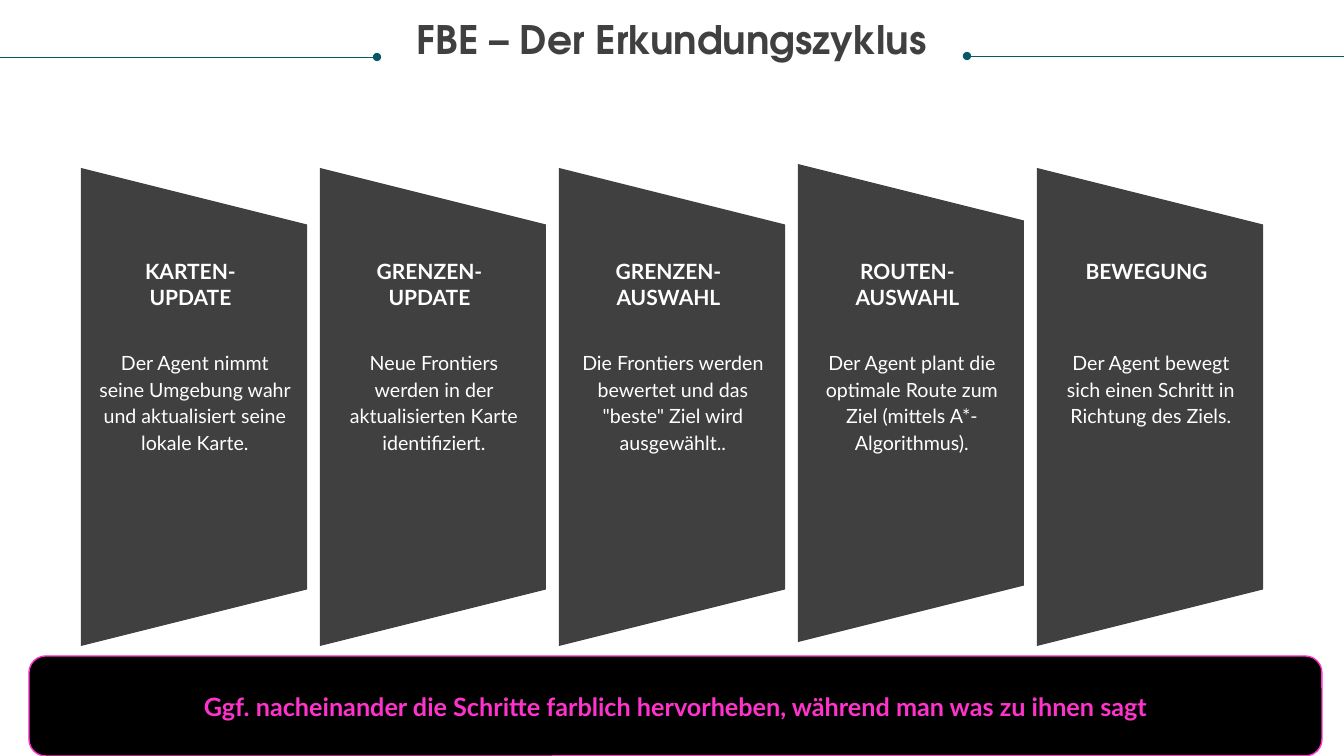
from dataclasses import dataclass

from lxml import etree
from pptx import Presentation
from pptx.dml.color import RGBColor
from pptx.enum import shapes, text
from pptx.oxml import ns
from pptx import util as u

PX = 12192000 / 1344


@dataclass(frozen=True)
class Theme:
    heading_font: str = "TeX Gyre Adventor"
    body_font: str = "Lato"
    title: str = "404040"
    rule: str = "085764"
    panel: str = "000001"
    panel_alpha: int = 75
    on_panel: str = "FFFFFF"
    note_fill: str = "000000"
    note: str = "FF33CC"
    title_size: int = 28
    step_size: int = 15
    body_size: int = 14
    note_size: int = 18


THEME = Theme()
STEP_PITCH = 239
RAISED_STEP, RAISE = 3, 4
STEPS = [
    ("KARTEN-UPDATE", "Der Agent nimmt seine Umgebung wahr und aktualisiert seine lokale Karte."),
    ("GRENZEN-UPDATE", "Neue Frontiers werden in der aktualisierten Karte identifiziert."),
    ("GRENZEN-AUSWAHL", "Die Frontiers werden bewertet und das \"beste\" Ziel wird ausgewählt.."),
    ("ROUTEN-AUSWAHL", "Der Agent plant die optimale Route zum Ziel (mittels A*-Algorithmus)."),
    ("BEWEGUNG", "Der Agent bewegt sich einen Schritt in Richtung des Ziels."),
]


def px(*lengths):
    return [u.Emu(round(n * PX)) for n in lengths]


def set_all(target, values):
    for name, value in values.items():
        setattr(target, name, value)


def write(tf, words, size, color, font=THEME.body_font, bold=False, spacing=None):
    """Fill a text frame with one centred paragraph."""
    p = tf.paragraphs[0]
    set_all(p, {"alignment": text.PP_ALIGN.CENTER, "line_spacing": spacing})
    r = p.add_run()
    r.text = words
    set_all(r.font, {"size": u.Pt(size), "name": font, "bold": bold})
    r.font.color.rgb = RGBColor.from_string(color)


def add_text(slide, box, words, size, color, **style):
    tf = slide.shapes.add_textbox(*px(*box)).text_frame
    set_all(tf, {"word_wrap": True, "margin_left": 0, "margin_right": 0,
                 "margin_top": 0, "margin_bottom": 0})
    write(tf, words, size, color, **style)


def add_solid(slide, kind, box, fill):
    sp = slide.shapes.add_shape(kind, *px(*box))
    sp.shadow.inherit = False
    sp.fill.solid()
    sp.fill.fore_color.rgb = RGBColor.from_string(fill)
    sp.line.fill.background()
    return sp


def add_rule(slide, ends, dot):
    """Draw a thin line with a round dot at its headEnd or tailEnd."""
    line = slide.shapes.add_connector(shapes.MSO_CONNECTOR.STRAIGHT, *px(*ends))
    line.line.width = u.Pt(0.5)
    line.line.color.rgb = RGBColor.from_string(THEME.rule)
    spPr = line.element.spPr
    etree.SubElement(spPr.find(ns.qn("a:ln")), ns.qn(f"a:{dot}"), type="oval")
    etree.SubElement(spPr, ns.qn("a:effectLst"))


def add_panel(slide, index):
    top = 294 - (RAISE if index == RAISED_STEP else 0)
    sp = add_solid(slide, shapes.MSO_SHAPE.TRAPEZOID,
                   (-45 + index * STEP_PITCH, top, 478, 226), THEME.panel)
    sp.rotation = 90
    color = sp.element.spPr.find(ns.qn("a:solidFill")).find(ns.qn("a:srgbClr"))
    etree.SubElement(color, ns.qn("a:alpha"), val=str(THEME.panel_alpha * 1000))


def add_step(slide, index, heading, body):
    shift = index * STEP_PITCH
    add_panel(slide, index)
    add_text(slide, (115 + shift, 259, 151, 50), heading,
             THEME.step_size, THEME.on_panel, bold=True)
    add_text(slide, (98 + shift, 348, 194, 105), body,
             THEME.body_size, THEME.on_panel, spacing=u.Pt(19))


def add_note(slide, words):
    sp = add_solid(slide, shapes.MSO_SHAPE.ROUNDED_RECTANGLE,
                   (29, 656, 1293, 100), THEME.note_fill)
    sp.line.color.rgb = RGBColor.from_string(THEME.note)
    sp.line.width = u.Pt(1)
    set_all(sp.text_frame, {"word_wrap": True,
                            "vertical_anchor": text.MSO_ANCHOR.MIDDLE})
    write(sp.text_frame, words, THEME.note_size, THEME.note, bold=True)


def main():
    prs = Presentation()
    prs.slide_width, prs.slide_height = px(1344, 756)
    slide = prs.slides.add_slide(prs.slide_layouts[6])

    add_rule(slide, (967, 56, 1344, 56), "headEnd")
    add_text(slide, (25, 21, 1293, 86), "FBE – Der Erkundungszyklus",
             THEME.title_size, THEME.title, font=THEME.heading_font,
             bold=True, spacing=0.9)
    add_rule(slide, (0, 57, 377, 57), "tailEnd")
    for index, (heading, body) in enumerate(STEPS):
        add_step(slide, index, heading, body)
    add_note(slide, "Ggf. nacheinander die Schritte farblich hervorheben, "
                    "während man was zu ihnen sagt")
    prs.save("out.pptx")


if __name__ == "__main__":
    main()
